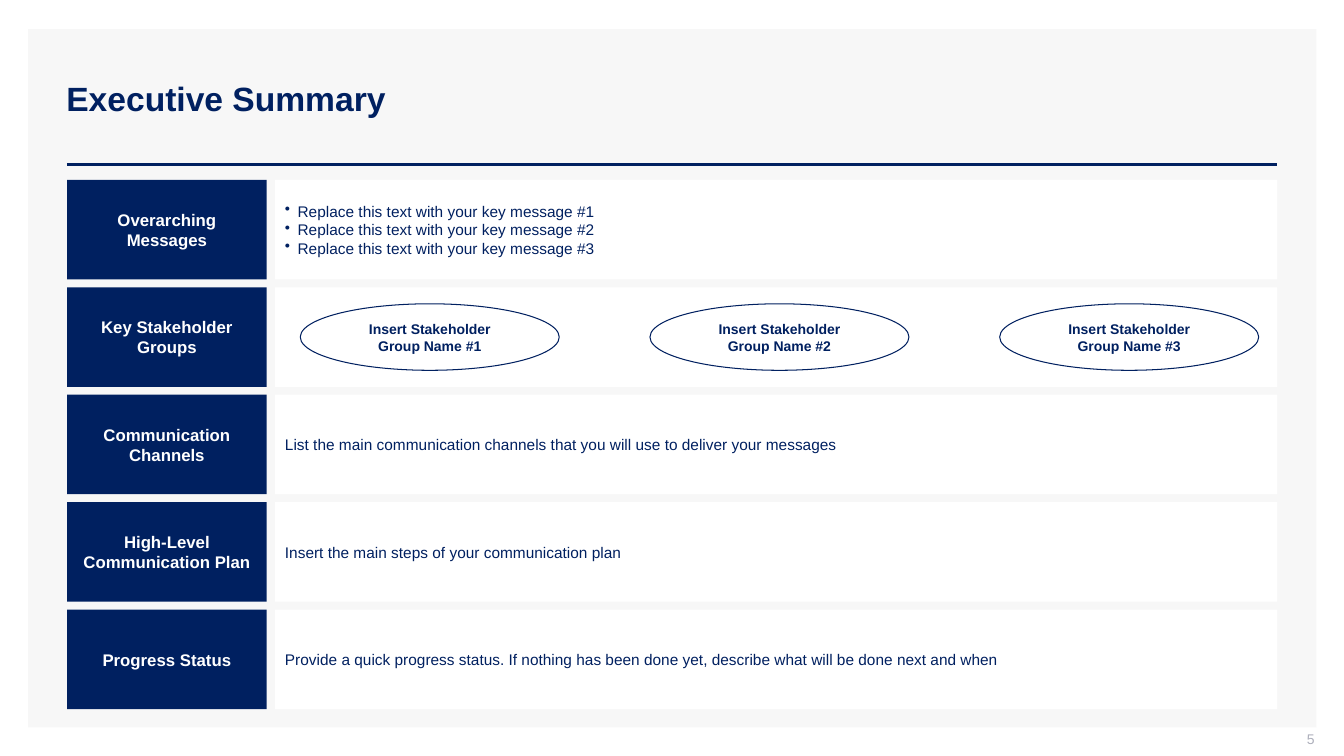
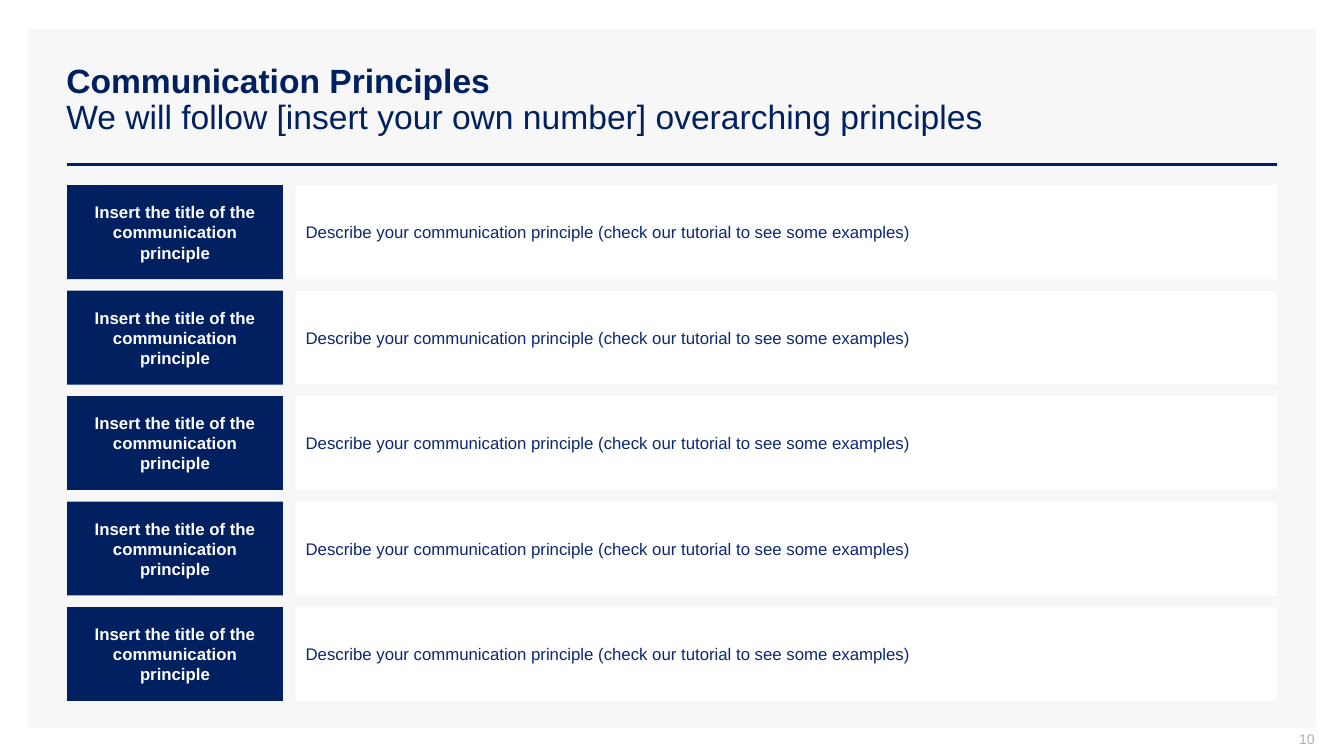
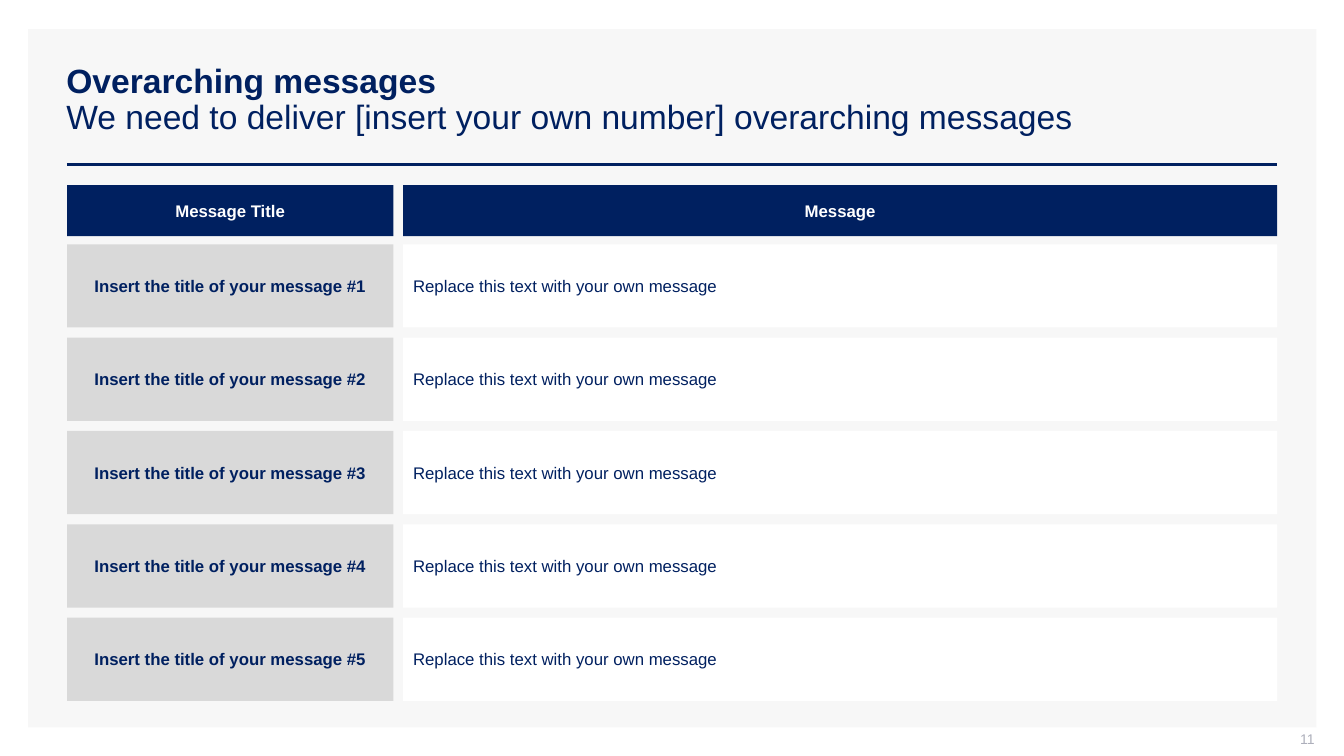
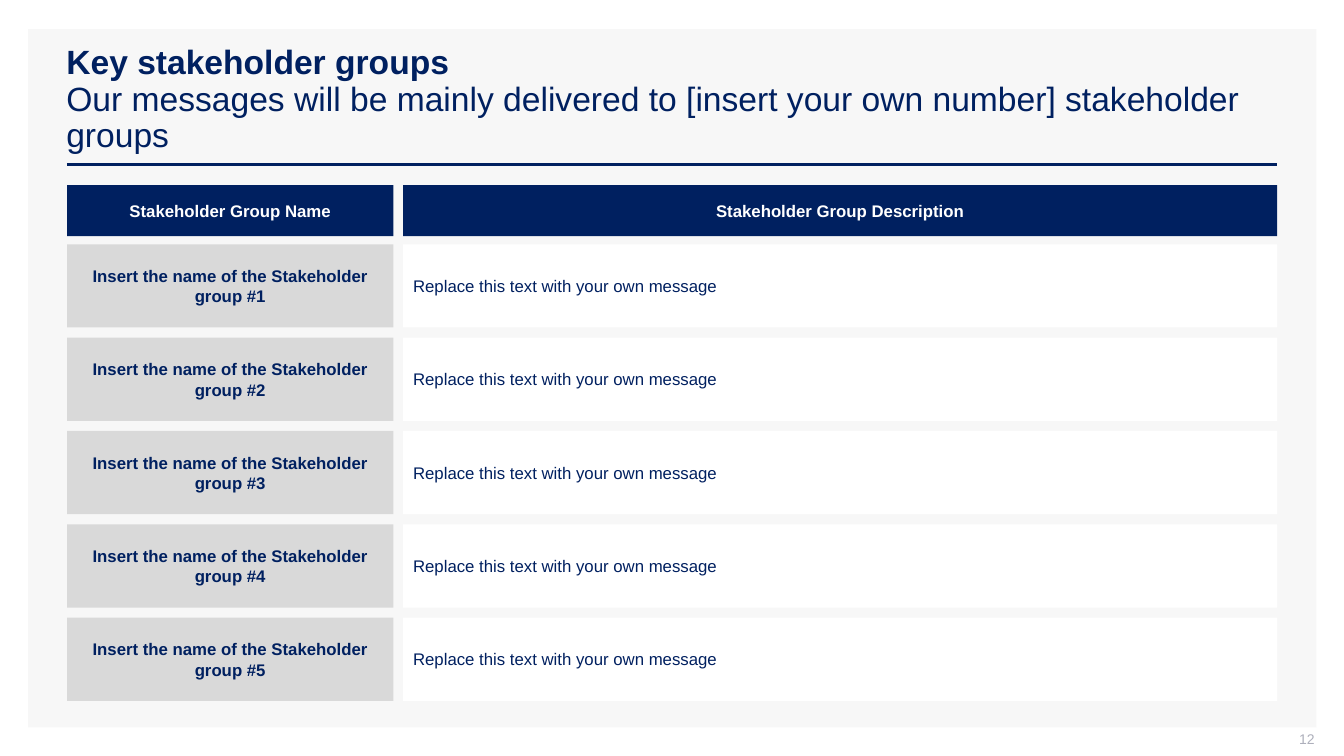
from lxml import etree
from pptx import Presentation
from pptx.dml.color import RGBColor
from pptx.enum import shapes, text
from pptx.oxml import ns
from pptx.util import Pt

# Shared style
FONT = "Arial"
NAVY, BLUE, WHITE = "002060", "0C2870", "FFFFFF"
PANEL, GREY, PAGE_GREY = "F7F7F7", "D9D9D9", "ADAFBB"
LEFT, RIGHT = 48, 912.3
RECT, OVAL = shapes.MSO_SHAPE.RECTANGLE, shapes.MSO_SHAPE.OVAL
CENTER, RIGHT_ALIGN = text.PP_ALIGN.CENTER, text.PP_ALIGN.RIGHT

# Content
SUMMARY = [
    ("Overarching Messages", [f"Replace this text with your key message #{n}" for n in (1, 2, 3)]),
    ("Key Stakeholder Groups", []),
    ("Communication Channels",
     ["List the main communication channels that you will use to deliver your messages"]),
    ("High-Level Communication Plan", ["Insert the main steps of your communication plan"]),
    ("Progress Status",
     ["Provide a quick progress status. If nothing has been done yet, "
      "describe what will be done next and when"]),
]
STAKEHOLDERS = [f"Insert Stakeholder Group Name #{n}" for n in (1, 2, 3)]
PRINCIPLES = [("Insert the title of the communication principle",
               ["Describe your communication principle (check our tutorial to see some examples)"])] * 5
OWN_MESSAGE = ["Replace this text with your own message"]
MESSAGES = [(f"Insert the title of your message #{n}", OWN_MESSAGE) for n in range(1, 6)]
GROUPS = [(f"Insert the name of the Stakeholder group #{n}", OWN_MESSAGE) for n in range(1, 6)]

SLIDES = [
    dict(page=5, title="Executive Summary", subtitle="", header=None, rows=SUMMARY,
         grid=dict(top=128.5, bottom=506.5, gap=5.6, label_width=142.5, body_left=196.5),
         body_size=11, ovals_in_row=1),
    dict(page=10, title="Communication Principles",
         subtitle="We will follow [insert your own number] overarching principles",
         header=None, rows=PRINCIPLES, body_color=BLUE,
         grid=dict(top=132.3, bottom=500.7, gap=8.3, label_width=154, body_left=211.2)),
    dict(page=11, title="Overarching messages",
         subtitle="We need to deliver [insert your own number] overarching messages",
         header=("Message Title", "Message"), rows=MESSAGES),
    dict(page=12, title="Key stakeholder groups",
         subtitle="Our messages will be mainly delivered to [insert your own number] stakeholder groups",
         header=("Stakeholder Group Name", "Stakeholder Group Description"), rows=GROUPS),
]
HEADER_TOP, HEADER_HEIGHT = 132.3, 36.3
TABLE_GRID = dict(top=174.5, bottom=500.7, gap=7.2, label_width=233, body_left=288)


def rgb(value):
    return RGBColor.from_string(value)


def add_run(paragraph, words, size, color, bold=False):
    run = paragraph.add_run()
    run.text = words
    font = run.font
    font.name, font.size, font.bold = FONT, Pt(size), bold
    font.color.rgb = rgb(color)


def set_frame(frame, insets=(7.2, 3.6, 7.2, 3.6)):
    frame.word_wrap = True
    frame.vertical_anchor = text.MSO_ANCHOR.MIDDLE
    (frame.margin_left, frame.margin_top,
     frame.margin_right, frame.margin_bottom) = map(Pt, insets)
    return frame


def add_bullet(paragraph):
    props = paragraph._p.get_or_add_pPr()
    props.set("marL", str(Pt(9)))
    props.set("indent", str(-Pt(9)))
    etree.SubElement(props, ns.qn("a:buChar")).set("char", "•")


def add_box(slide, x, y, w, h, fill, lines=(), size=12, color=NAVY, bold=False,
            align=text.PP_ALIGN.LEFT, kind=RECT, outline=None):
    box = slide.shapes.add_shape(kind, Pt(x), Pt(y), Pt(w), Pt(h))
    box.shadow.inherit = False
    box.fill.solid()
    box.fill.fore_color.rgb = rgb(fill)
    if outline:
        box.line.color.rgb = rgb(outline)
        box.line.width = Pt(0.75)
    else:
        box.line.fill.background()
    frame = set_frame(box.text_frame)
    for i, words in enumerate(lines):
        paragraph = frame.add_paragraph() if i else frame.paragraphs[0]
        paragraph.alignment = align
        if len(lines) > 1:
            add_bullet(paragraph)
        add_run(paragraph, words, size, color, bold)


def add_base(prs, page, title, subtitle):
    """Panel, rule, title and page number common to every slide."""
    slide = prs.slides.add_slide(prs.slide_layouts[6])
    add_box(slide, 20, 20.8, 920.2, 498.7, PANEL)

    rule = slide.shapes.add_connector(shapes.MSO_CONNECTOR.STRAIGHT,
                                      Pt(47.8), Pt(117.4), Pt(RIGHT), Pt(117.4))
    rule.line.color.rgb = rgb(NAVY)
    rule.line.width = Pt(2)
    etree.SubElement(rule._element.spPr, ns.qn("a:effectLst"))

    heading = slide.shapes.add_textbox(Pt(40.3), Pt(28.8), Pt(872), Pt(85.7))
    paragraph = set_frame(heading.text_frame).paragraphs[0]
    paragraph.line_spacing = 0.9
    add_run(paragraph, title, 24, NAVY, bold=True)
    if subtitle:
        paragraph.add_line_break()
        add_run(paragraph, subtitle, 24, NAVY)

    number = slide.shapes.add_textbox(Pt(723), Pt(522), Pt(216), Pt(15))
    paragraph = set_frame(number.text_frame, (7.2, 0, 0, 3.6)).paragraphs[0]
    paragraph.alignment = RIGHT_ALIGN
    add_run(paragraph, str(page), 10, PAGE_GREY)
    return slide


def add_stakeholders(slide, row_top, row_height):
    width, height, first, pitch = 185, 47.5, 214.5, 249.8
    for i, name in enumerate(STAKEHOLDERS):
        add_box(slide, first + i * pitch, row_top + (row_height - height) / 2, width, height,
                WHITE, [name], 10, NAVY, True, CENTER, OVAL, NAVY)


def add_rows(slide, rows, header, grid=TABLE_GRID, body_size=12, body_color=NAVY,
             ovals_in_row=None):
    label_width, body_left = grid["label_width"], grid["body_left"]
    body_width = RIGHT - body_left
    if header:
        for x, w, words in zip((LEFT, body_left), (label_width, body_width), header):
            add_box(slide, x, HEADER_TOP, w, HEADER_HEIGHT, NAVY, [words], 12, WHITE, True, CENTER)
    label_fill, label_color = (GREY, NAVY) if header else (NAVY, WHITE)

    pitch = (grid["bottom"] - grid["top"] + grid["gap"]) / len(rows)
    height = pitch - grid["gap"]
    for i, (label, body) in enumerate(rows):
        y = grid["top"] + i * pitch
        add_box(slide, LEFT, y, label_width, height, label_fill, [label], 12, label_color, True, CENTER)
        add_box(slide, body_left, y, body_width, height, WHITE, body, body_size, body_color)
        if i == ovals_in_row:
            add_stakeholders(slide, y, height)


def main():
    prs = Presentation()
    prs.slide_width, prs.slide_height = Pt(960), Pt(540)
    for content in SLIDES:
        layout = dict(content)
        slide = add_base(prs, layout.pop("page"), layout.pop("title"), layout.pop("subtitle"))
        add_rows(slide, **layout)
    prs.save("out.pptx")


if __name__ == "__main__":
    main()
